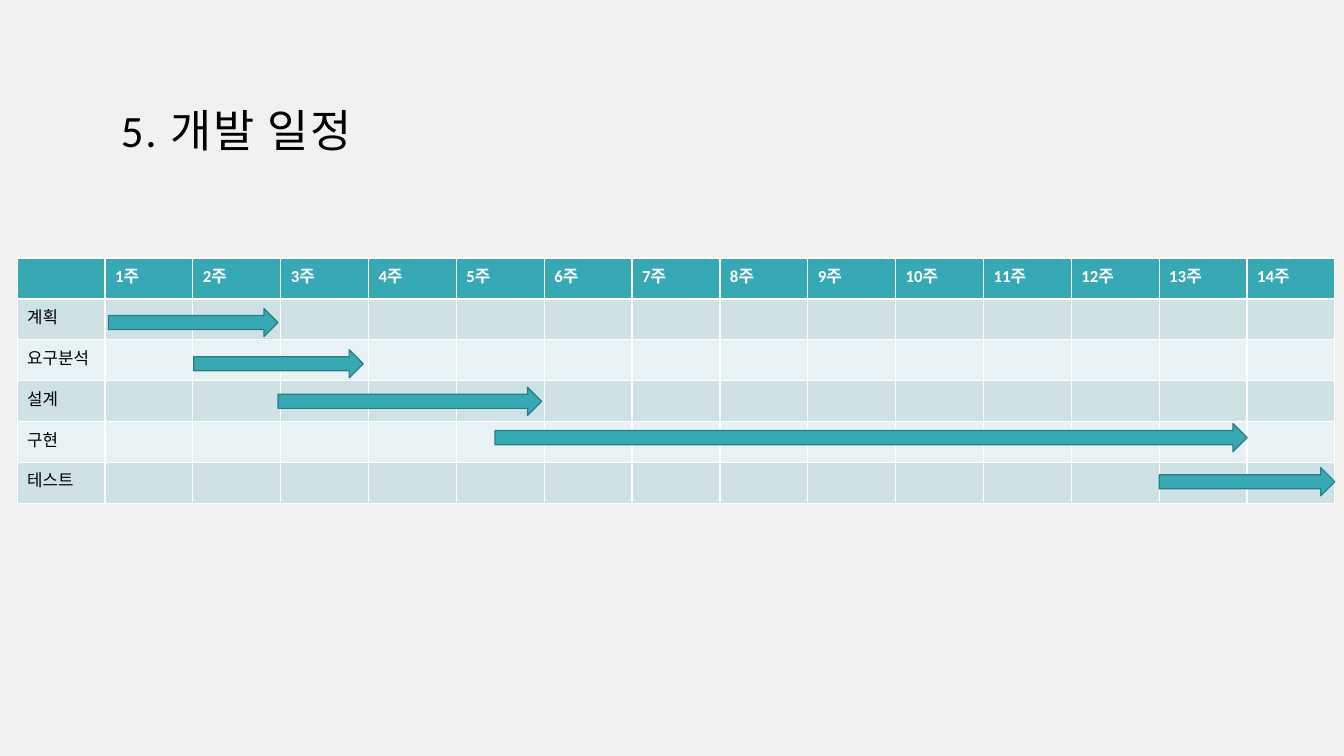
from pptx import Presentation
from pptx.dml.color import RGBColor
from pptx.enum.shapes import MSO_SHAPE
from pptx.enum.text import MSO_ANCHOR, MSO_AUTO_SIZE, PP_ALIGN
from pptx.util import Inches, Pt

RIGHT_ARROW = MSO_SHAPE.RIGHT_ARROW
BOTTOM = MSO_ANCHOR.BOTTOM
LEFT = PP_ALIGN.LEFT
NO_AUTOFIT = MSO_AUTO_SIZE.NONE

PAPER = RGBColor(0xF3, 0xF1, 0xF0)
TEAL = RGBColor(0x37, 0xA9, 0xB5)
DARK_TEAL = RGBColor(0x29, 0x7D, 0x86)
BAND_DARK = RGBColor(0xCE, 0xE2, 0xE5)
BAND_LIGHT = RGBColor(0xE8, 0xF1, 0xF3)
BLACK = RGBColor(0, 0, 0)
WHITE = RGBColor(0xFF, 0xFF, 0xFF)

FONT = "Calibri"
SLIDE_W, SLIDE_H = Inches(13.33), Inches(7.5)

# Schedule grid: one label column and 14 weeks, one header row and 5 phases
WEEKS = 14
GRID_LEFT, GRID_TOP = Inches(0.17), Inches(2.56)
COLUMN, ROW = Inches(13.07) // (WEEKS + 1), Inches(2.43) // 6
ARROW_HEIGHT = Inches(0.28)

# Phase, first column, length in columns, arrow centre within its row
PHASES = [
    ("계획", 1.04, 1.93, 0.58),
    ("요구분석", 2.01, 1.93, 0.59),
    ("설계", 2.97, 3, 0.51),
    ("구현", 5.44, 8.56, 0.4),
    ("테스트", 13, 2, 0.48),
]


def write(frame, text, size=12, color=BLACK, bold=False, spacing=None):
    paragraph = frame.paragraphs[0]
    paragraph.alignment = LEFT
    run = paragraph.add_run()
    run.text = text
    run.font.name = FONT
    run.font.size = Pt(size)
    run.font.bold = bold
    run.font.color.rgb = color
    if spacing is not None:
        run.font._element.set("spc", str(round(spacing * 100)))


class ScheduleSlide:
    def __init__(self, deck):
        self.slide = deck.slides.add_slide(deck.slide_layouts[5])
        background = self.slide.background.fill
        background.solid()
        background.fore_color.rgb = PAPER

    def title(self, text):
        heading = self.slide.shapes.title
        heading.left, heading.top = Inches(1.08), Inches(0.43)
        heading.width, heading.height = Inches(11.17), Inches(1.22)
        frame = heading.text_frame
        frame.auto_size = NO_AUTOFIT
        frame.word_wrap = True
        frame.vertical_anchor = BOTTOM
        frame.margin_left = frame.margin_top = frame.margin_right = Inches(0.12)
        frame.margin_bottom = Inches(0.1)
        write(frame, text, size=32, spacing=1.2)

    def table(self, rows):
        columns = len(rows[0])
        schedule = self.slide.shapes.add_table(
            len(rows), columns, GRID_LEFT, GRID_TOP,
            COLUMN * columns, ROW * len(rows)).table
        for column in schedule.columns:
            column.width = COLUMN
        for r, texts in enumerate(rows):
            schedule.rows[r].height = ROW
            header = r == 0
            band = TEAL if header else BAND_DARK if r % 2 else BAND_LIGHT
            for c, text in enumerate(texts):
                cell = schedule.cell(r, c)
                cell.fill.solid()
                cell.fill.fore_color.rgb = band
                if text:
                    write(cell.text_frame, text, bold=header,
                          color=WHITE if header else BLACK)

    def arrow(self, column, row, span):
        period = self.slide.shapes.add_shape(
            RIGHT_ARROW,
            round(GRID_LEFT + column * COLUMN),
            round(GRID_TOP + row * ROW - ARROW_HEIGHT / 2),
            round(span * COLUMN), ARROW_HEIGHT)
        period.shadow.inherit = False
        period.fill.solid()
        period.fill.fore_color.rgb = TEAL
        period.line.color.rgb = DARK_TEAL
        period.line.width = Pt(0.85)


def main():
    deck = Presentation()
    deck.slide_width, deck.slide_height = SLIDE_W, SLIDE_H
    page = ScheduleSlide(deck)

    # Heading
    page.title("5. 개발 일정")

    # Week table
    weeks = [""] + [f"{week}주" for week in range(1, WEEKS + 1)]
    page.table([weeks] + [[phase[0]] + [""] * WEEKS for phase in PHASES])

    # Phase periods
    for row, (_, start, span, centre) in enumerate(PHASES, 1):
        page.arrow(start, row + centre, span)

    deck.save("out.pptx")


if __name__ == "__main__":
    main()
